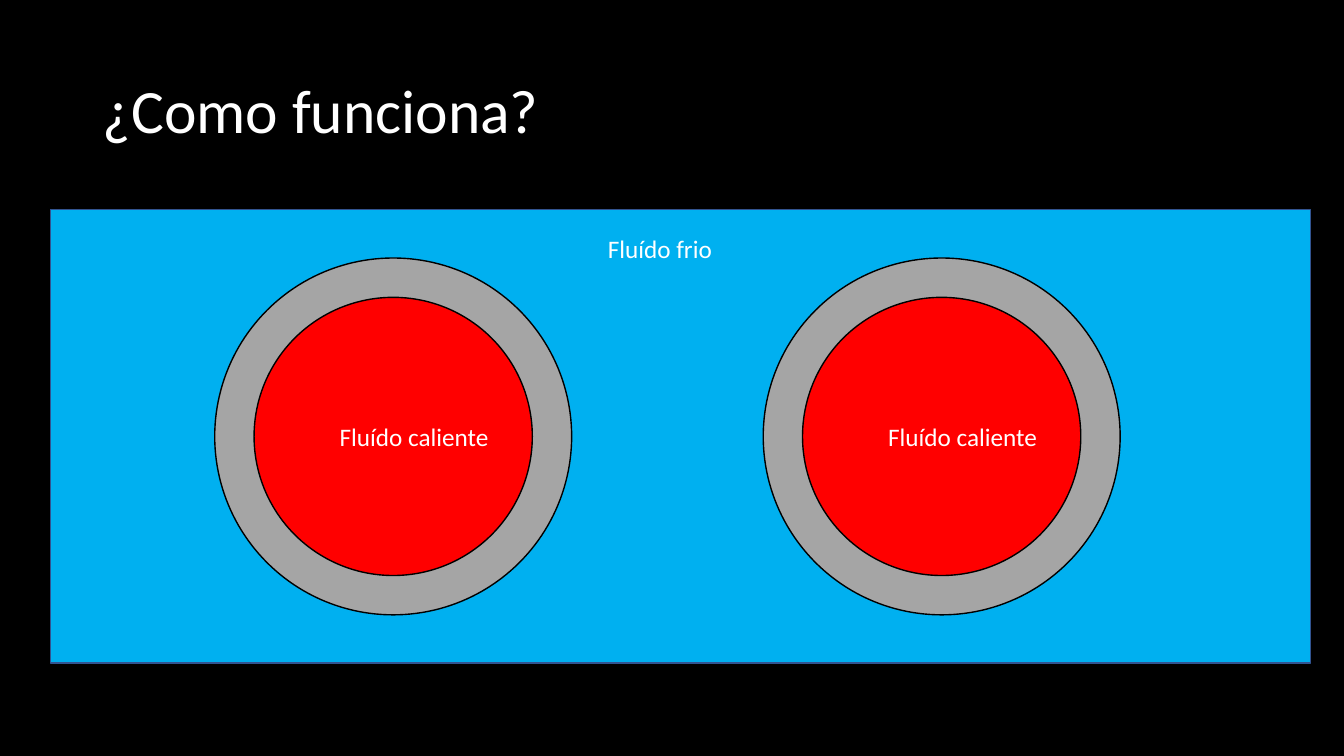
"""Build the slide showing hot fluid pipes inside a cold fluid."""
from pptx import Presentation
from pptx.dml.color import RGBColor
from pptx.enum.shapes import MSO_SHAPE
from pptx.enum.text import MSO_ANCHOR
from pptx.util import Inches, Pt

BLACK = RGBColor(0x00, 0x00, 0x00)
WHITE = RGBColor(0xFF, 0xFF, 0xFF)
COLD = RGBColor(0x00, 0xB0, 0xF0)
COLD_EDGE = RGBColor(0x32, 0x54, 0x91)
HOT = RGBColor(0xFF, 0x00, 0x00)
WALL = RGBColor(0xA5, 0xA5, 0xA5)

TITLE = ("¿Como funciona?", (0.92, 0.4, 11.5, 1.45))
TANK = (0.5, 2.08, 12.5, 4.5)
COLD_LABEL = ("Fluído frio", (5.93, 2.27, 1.25, 0.4))
HOT_LABEL = "Fluído caliente"
PIPE_CENTERS = (3.9, 9.34)
PIPE_MIDDLE = 4.33
PIPE_RINGS = ((3.54, WALL), (2.76, HOT))
LABEL_SHIFT, LABEL_TOP = -0.63, 4.13


def add_figure(slide, kind, box, fill, edge):
    s = slide.shapes.add_shape(kind, *map(Inches, box))
    s.shadow.inherit = False
    s.fill.solid()
    s.fill.fore_color.rgb = fill
    s.line.color.rgb = edge
    s.line.width = Pt(1)


def add_label(slide, text, box, size=18, wrap=False, anchor=MSO_ANCHOR.TOP, spacing=1.0):
    tf = slide.shapes.add_textbox(*map(Inches, box)).text_frame
    tf.word_wrap = wrap
    tf.vertical_anchor = anchor
    p = tf.paragraphs[0]
    p.line_spacing = spacing
    r = p.add_run()
    r.text = text
    for name, value in {"name": "Calibri", "size": Pt(size)}.items():
        setattr(r.font, name, value)
    r.font.color.rgb = WHITE


def main():
    prs = Presentation()
    prs.slide_width, prs.slide_height = Inches(13.33), Inches(7.5)
    slide = prs.slides.add_slide(prs.slide_layouts[6])
    slide.background.fill.solid()
    slide.background.fill.fore_color.rgb = BLACK

    add_label(slide, *TITLE, size=44, wrap=True, anchor=MSO_ANCHOR.MIDDLE, spacing=0.9)
    add_figure(slide, MSO_SHAPE.RECTANGLE, TANK, COLD, COLD_EDGE)
    add_label(slide, *COLD_LABEL)
    for center in PIPE_CENTERS:
        for size, fill in PIPE_RINGS:
            box = (center - size / 2, PIPE_MIDDLE - size / 2, size, size)
            add_figure(slide, MSO_SHAPE.OVAL, box, fill, BLACK)
        add_label(slide, HOT_LABEL, (center + LABEL_SHIFT, LABEL_TOP, 1.7, 0.4))
    prs.save("out.pptx")


if __name__ == "__main__":
    main()
